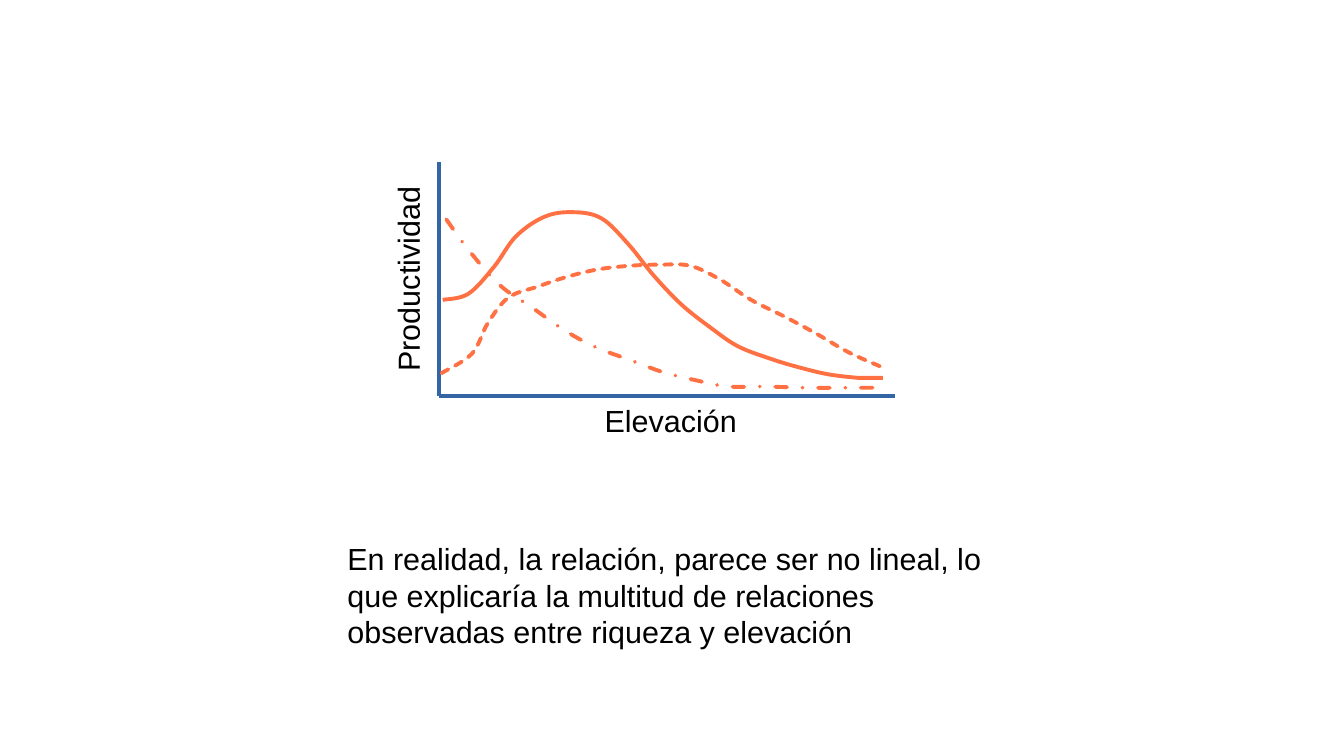
from dataclasses import dataclass
from typing import Optional

import pptx
import pptx.dml.color
import pptx.enum.dml
import pptx.enum.shapes
import pptx.enum.text
import pptx.oxml.ns
import pptx.slide
import pptx.util
from lxml import etree

EMU_PER_PX = 9144
SLIDE_WIDTH, SLIDE_HEIGHT = 1102, 620
LINE_POINTS = 2.3
AXIS_COLOR = "3465A4"
CURVE_COLOR = "FF7043"
TEXT_COLOR = "000000"
DASH = pptx.enum.dml.MSO_LINE_DASH_STYLE

Point = tuple[int, int]


@dataclass(frozen=True)
class Axis:
    start: Point
    end: Point


@dataclass(frozen=True)
class Curve:
    knots: tuple[Point, ...]
    straight_spans: int
    dash: Optional[pptx.enum.dml.MSO_LINE_DASH_STYLE] = None


@dataclass(frozen=True)
class Label:
    text: str
    left: int
    top: int
    width: int
    height: int
    rotation: int = 0


AXES = (
    Axis((360, 133), (360, 325)),
    Axis((360, 325), (734, 325)),
)

CURVES = (
    Curve((
        (363, 246), (384, 241), (405, 219), (423, 194), (446, 178), (469, 174),
        (493, 179), (515, 200), (536, 226), (559, 250), (583, 269), (605, 284),
        (631, 294), (654, 301), (679, 307), (704, 310), (711, 310), (718, 310),
        (724, 310),
    ), 3),
    Curve((
        (366, 180), (385, 206), (410, 234), (436, 252), (463, 271), (489, 285),
        (516, 295), (543, 305), (571, 312), (597, 317), (626, 317), (661, 318),
        (693, 318), (719, 318), (727, 318),
    ), 1, DASH.DASH_DOT),
    Curve((
        (362, 306), (387, 290), (400, 265), (417, 244), (441, 235), (465, 227),
        (490, 221), (516, 218), (542, 217), (566, 218), (590, 229), (616, 246),
        (644, 260), (670, 274), (696, 289), (723, 301), (727, 302),
    ), 1, DASH.SQUARE_DOT),
)

LABELS = (
    Label("Elevación", 486, 325, 217, 38),
    Label(
        "En realidad, la relación, parece ser no lineal, lo que explicaría "
        "la multitud de relaciones observadas entre riqueza y elevación",
        275, 438, 571, 94,
    ),
    Label("Productividad", 251, 185, 193, 66, 270),
)


def px(length: float) -> pptx.util.Emu:
    return pptx.util.Emu(round(length * EMU_PER_PX))


def rgb(color: str) -> pptx.dml.color.RGBColor:
    return pptx.dml.color.RGBColor.from_string(color)


def draw_axis(slide: pptx.slide.Slide, axis: Axis) -> None:
    connector = slide.shapes.add_connector(
        pptx.enum.shapes.MSO_CONNECTOR.STRAIGHT,
        *map(px, axis.start), *map(px, axis.end),
    )
    connector.line.color.rgb = rgb(AXIS_COLOR)
    connector.line.width = pptx.util.Pt(LINE_POINTS)
    etree.SubElement(connector._element.spPr, pptx.oxml.ns.qn("a:effectLst"))


def bend_spans(outline: etree._Element, curve: Curve, left: int, top: int) -> None:
    knots = curve.knots
    padded = (knots[0], *knots, knots[-1])
    spans = list(outline.iter(pptx.oxml.ns.qn("a:lnTo")))[:-curve.straight_spans]
    for span, a, b, c, d in zip(spans, padded, padded[1:], padded[2:], padded[3:]):
        leaving = [b[i] + (c[i] - a[i]) / 6 for i in range(2)]
        arriving = [c[i] - (d[i] - b[i]) / 6 for i in range(2)]
        for index, (x, y) in enumerate((leaving, arriving)):
            handle = etree.Element(pptx.oxml.ns.qn("a:pt"))
            handle.set("x", str(px(x) - left))
            handle.set("y", str(px(y) - top))
            span.insert(index, handle)
        span.tag = pptx.oxml.ns.qn("a:cubicBezTo")


def draw_curve(slide: pptx.slide.Slide, curve: Curve) -> None:
    points = [(px(x), px(y)) for x, y in curve.knots]
    builder = slide.shapes.build_freeform(*points[0], scale=1.0)
    builder.add_line_segments(points[1:], close=False)
    shape = builder.convert_to_shape()
    bend_spans(shape._element.spPr, curve, shape.left, shape.top)
    shape.shadow.inherit = False
    shape.fill.background()
    shape.line.color.rgb = rgb(CURVE_COLOR)
    shape.line.width = pptx.util.Pt(LINE_POINTS)
    if curve.dash is not None:
        shape.line.dash_style = curve.dash
        shape._element.spPr.find(pptx.oxml.ns.qn("a:ln")).set("cap", "rnd")


def draw_label(slide: pptx.slide.Slide, label: Label) -> None:
    shape = slide.shapes.add_textbox(
        px(label.left), px(label.top), px(label.width), px(label.height)
    )
    shape.rotation = label.rotation
    shape.text_frame.word_wrap = True
    shape.text_frame.auto_size = pptx.enum.text.MSO_AUTO_SIZE.SHAPE_TO_FIT_TEXT
    shape.text_frame.text = label.text
    for run in shape.text_frame.paragraphs[0].runs:
        run.font.name = "Arial"
        run.font.size = pptx.util.Pt(18)
        run.font.color.rgb = rgb(TEXT_COLOR)


def main() -> None:
    presentation = pptx.Presentation()
    presentation.slide_width = px(SLIDE_WIDTH)
    presentation.slide_height = px(SLIDE_HEIGHT)
    slide = presentation.slides.add_slide(presentation.slide_layouts[6])
    for axis in AXES:
        draw_axis(slide, axis)
    for curve in CURVES:
        draw_curve(slide, curve)
    for label in LABELS:
        draw_label(slide, label)
    presentation.save("out.pptx")


if __name__ == "__main__":
    main()
